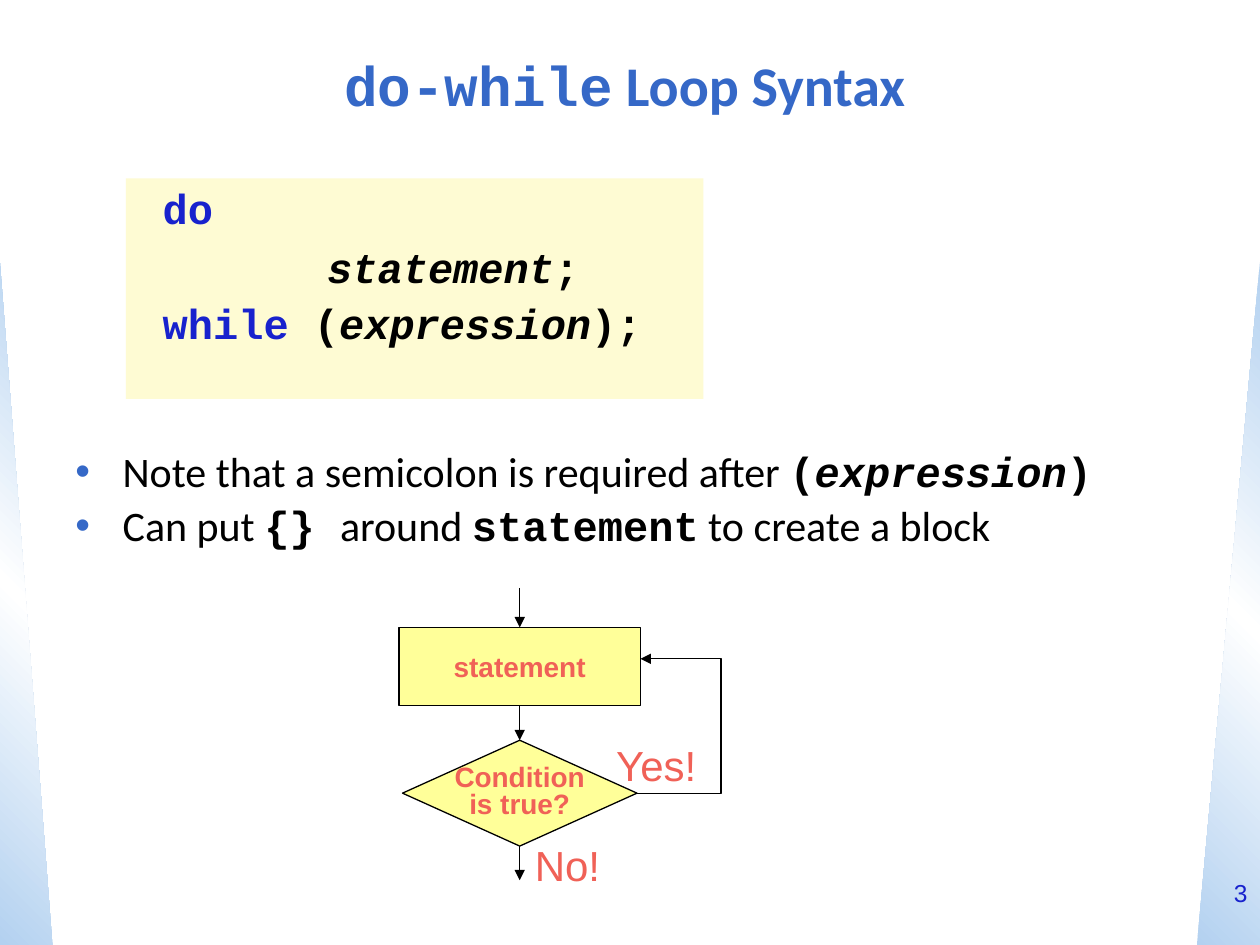
import copy
import pptx
import pptx.util
import pptx.dml.color
from lxml import etree
from pptx.enum.shapes import MSO_CONNECTOR, MSO_SHAPE
from pptx.enum.text import MSO_ANCHOR, PP_ALIGN
from pptx.oxml.ns import qn

Pt = pptx.util.Pt

COLORS = {
    "title": "3568C7", "key": "1822CD", "text": "000000", "code": "FEFBD3",
    "node": "FFFF99", "label": "F06157", "edge": "B3D1F0", "mid": "FFFFFF",
}
MONO, SANS, PLAIN = "Courier New", "Calibri", "Arial"


def rgb(name):
    return pptx.dml.color.RGBColor.from_string(COLORS[name])


def style(font, face, size, color, bold=False, italic=False):
    font.name, font.size = face, Pt(size)
    font.bold, font.italic = bold, italic
    font.color.rgb = rgb(color)


def add_run(para, text, *look):
    run = para.add_run()
    run.text = text
    style(run.font, *look)


def add_para(frame, first):
    return frame.paragraphs[0] if first else frame.add_paragraph()


def add_shape(slide, kind, x, y, w, h, fill=None, line=False):
    shape = slide.shapes.add_shape(kind, Pt(x), Pt(y), Pt(w), Pt(h))
    shape.shadow.inherit = False
    if fill:
        shape.fill.solid()
        shape.fill.fore_color.rgb = rgb(fill)
    if line:
        set_line(shape)
    else:
        shape.line.fill.background()
    return shape


def set_line(shape, arrow=False):
    shape.line.color.rgb = rgb("text")
    shape.line.width = Pt(0.75)
    if arrow:
        ln = shape.element.spPr.find(qn("a:ln"))
        etree.SubElement(ln, qn("a:tailEnd"), type="triangle")


def add_text(slide, text, x, y, w, h, size, color):
    box = slide.shapes.add_textbox(Pt(x), Pt(y), Pt(w), Pt(h))
    box.text_frame.word_wrap = True
    para = box.text_frame.paragraphs[0]
    para.text, para.alignment = text, PP_ALIGN.RIGHT
    style(para.font, PLAIN, size, color)


# Side wedges with a three-stop gradient
def add_wedge(slide, x, y, w, h, angle, flip=False):
    shape = add_shape(slide, MSO_SHAPE.RIGHT_TRIANGLE, x, y, w, h)
    shape.fill.gradient()
    shape.fill.gradient_angle = angle
    stops = shape.element.spPr.find(qn("a:gradFill")).find(qn("a:gsLst"))
    stops.insert(1, copy.deepcopy(stops[0]))
    marks = zip(shape.fill.gradient_stops, (0, 0.5, 1), ("edge", "mid", "edge"))
    for stop, place, color in marks:
        stop.position = place
        stop.color.rgb = rgb(color)
    if flip:
        shape.element.spPr.find(qn("a:xfrm")).set("flipH", "1")


def add_title(slide, x, y, w, h):
    title = slide.shapes.title
    title.left, title.top, title.width, title.height = map(Pt, (x, y, w, h))
    title.text_frame.vertical_anchor = MSO_ANCHOR.MIDDLE
    para = title.text_frame.paragraphs[0]
    para.alignment = PP_ALIGN.CENTER
    add_run(para, "do-while", MONO, 32, "title", True)
    add_run(para, " Loop Syntax", SANS, 32, "title", True)


# Code panel: each line is an indent, a space before and (text, color, italic)
def add_code(slide, x, y, w, h):
    lines = [
        (0, 0, [("do", "key", False)]),
        (94, 8, [("statement", "text", True), (";", "text", False)]),
        (0, 6, [("while", "key", False), (" (", "text", False),
                ("expression", "text", True), (");", "text", False)]),
    ]
    panel = add_shape(slide, MSO_SHAPE.RECTANGLE, x, y, w, h, "code")
    frame = panel.text_frame
    frame.vertical_anchor = MSO_ANCHOR.TOP
    frame.margin_left, frame.margin_top = Pt(21), Pt(5.5)
    for i, (indent, gap, runs) in enumerate(lines):
        para = add_para(frame, i == 0)
        para.alignment = PP_ALIGN.LEFT
        para.line_spacing, para.space_before = 0.9, Pt(gap)
        para._p.get_or_add_pPr().set("marL", str(Pt(indent)))
        for text, color, italic in runs:
            add_run(para, text, MONO, 24, color, True, italic)


# Bulleted notes: each run is (text, is code, italic)
def add_notes(slide, x, y, w, h):
    notes = [
        [("Note that a semicolon is required after ", False, False),
         ("(", True, False), ("expression", True, True), (")", True, False)],
        [("Can put ", False, False), ("{} ", True, False),
         ("around ", False, False), ("statement", True, False),
         (" to create a block", False, False)],
    ]
    frame = slide.shapes.add_textbox(Pt(x), Pt(y), Pt(w), Pt(h)).text_frame
    frame.word_wrap = True
    for i, runs in enumerate(notes):
        para = add_para(frame, i == 0)
        para.line_spacing, para.space_before = 0.9, Pt(5 if i else 0)
        props = para._p.get_or_add_pPr()
        props.set("marL", str(Pt(27)))
        props.set("indent", str(Pt(-27)))
        tint = etree.SubElement(props, qn("a:buClr"))
        etree.SubElement(tint, qn("a:srgbClr"), val=COLORS["title"])
        etree.SubElement(props, qn("a:buFont"), typeface=PLAIN)
        etree.SubElement(props, qn("a:buChar"), char="•")
        for text, code, italic in runs:
            face = MONO if code else SANS
            add_run(para, text, face, 24, "text", code, italic)


def add_node(slide, kind, text, x, y, w, h, space=1.0):
    node = add_shape(slide, kind, x, y, w, h, "node", True)
    frame = node.text_frame
    frame.word_wrap = False
    frame.vertical_anchor = MSO_ANCHOR.MIDDLE
    para = frame.paragraphs[0]
    para.text, para.alignment, para.line_spacing = text, PP_ALIGN.CENTER, space
    style(para.font, PLAIN, 16, "label", True)
    return node


def add_arrow(slide, x, top, end, tail=None, head=None):
    arrow = slide.shapes.add_connector(
        MSO_CONNECTOR.STRAIGHT, Pt(x), Pt(top), Pt(x), Pt(end))
    if tail:
        arrow.begin_connect(tail, 2)
    if head:
        arrow.end_connect(head, 0)
    set_line(arrow, True)
    etree.SubElement(arrow.element.spPr, qn("a:effectLst"))


# Flowchart: statement, test and the loop back
def add_flow(slide, x, y, w, h):
    mid = x + 69
    step = add_node(slide, MSO_SHAPE.FLOWCHART_PROCESS, "statement",
                    x, y + 22.5, 138, 44.5)
    test = add_node(slide, MSO_SHAPE.FLOWCHART_DECISION, "Condition\vis true?",
                    mid - 67, y + 87, 134, 60.5, 0.8)
    add_arrow(slide, mid, y, y + 22.5, head=step)
    add_arrow(slide, mid, y + 67, y + 87, step, test)
    add_arrow(slide, mid, y + 147.5, y + h, tail=test)

    low, high = y + 117.25, y + 40.5
    pen = slide.shapes.build_freeform(Pt(mid + 67), Pt(low))
    pen.add_line_segments(
        [(Pt(x + w), Pt(low)), (Pt(x + w), Pt(high)), (Pt(x + 138), Pt(high))],
        close=False)
    loop = pen.convert_to_shape()
    loop.shadow.inherit = False
    loop.fill.background()
    set_line(loop, True)

    add_text(slide, "Yes!", x + 101, y + 83, 76, 36, 24, "label")
    add_text(slide, "No!", x + 52, y + 140, 70, 36, 24, "label")


def main():
    deck = pptx.Presentation()
    deck.slide_width, deck.slide_height = Pt(720), Pt(540)
    slide = deck.slides.add_slide(deck.slide_layouts[5])
    add_wedge(slide, 0, 150, 30, 390, 45)
    add_wedge(slide, 684, 150, 36, 390, 315, True)
    add_title(slide, 18, 18, 678, 60)
    add_code(slide, 72, 102, 330, 126)
    add_notes(slide, 36, 254, 648, 70)
    add_flow(slide, 228, 336, 184, 167)
    add_text(slide, "3", 684, 498, 36, 42, 14, "key")
    deck.save("out.pptx")


if __name__ == "__main__":
    main()
